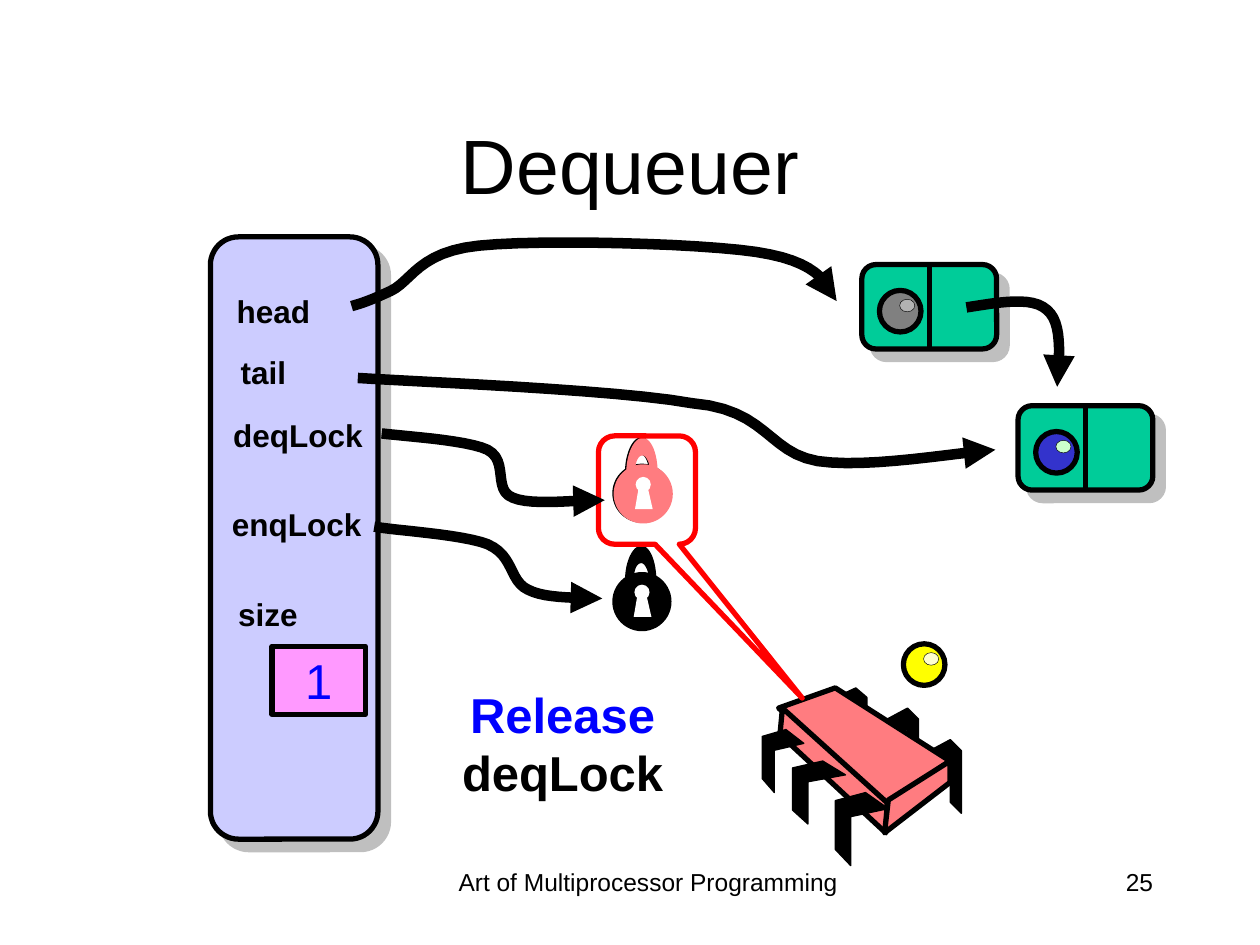
"""Build the "Dequeuer" slide: a two-lock queue whose dequeuer releases deqLock."""
from dataclasses import dataclass

from lxml import etree
from pptx import Presentation
from pptx import util as u
from pptx.dml.color import RGBColor
from pptx.enum import shapes, text
from pptx.oxml import ns

KIND = shapes.MSO_SHAPE
ALIGN = text.PP_ALIGN
COLUMNS, ROWS = 100, 75
CELL = u.Inches(10) // COLUMNS
CORNER = 0.167
CURVE_STEPS = 12


@dataclass(frozen=True)
class Theme:
    """Colours, type sizes and line widths of the slide."""
    font: str = "Arial"
    black: str = "000000"
    white: str = "FFFFFF"
    blue: str = "0000FF"
    red: str = "FF0000"
    shade: str = "808080"
    panel: str = "CCCCFF"
    counter: str = "FF99FF"
    node: str = "00CC99"
    owner: str = "FF7C80"
    title: int = 44
    callout: int = 28
    label: int = 18
    footer: int = 14
    thin: float = 0.25
    leg: float = 0.75
    outline: int = 3
    arrow: int = 6


THEME = Theme()
ITEMS = {
    "yellow": ("FFFF00", "FFFFCC"),
    "blue": ("3333CC", "CCFFCC"),
    "grey": ("808080", "B2B2B2"),
}
FIELDS = [
    ("head", 17.6, 22.7, 8.2),
    ("tail", 17.9, 27.5, 6),
    ("deqLock", 17.3, 32.5, 12.7),
    ("enqLock", 17.2, 39.6, 12.7),
    ("size", 17.7, 46.7, 7.1),
]
ARROWS = [
    [(30.3, 34.4), (31.7, 34.6), (37, 34.9), (38.7, 35.7), (40.4, 36.6),
     (39.1, 38.9), (40.7, 39.5), (42.2, 40.2), (46.5, 39.6), (48, 39.7)],
    [(29.7, 41.8), (31.2, 42.1), (36.7, 42.4), (38.7, 43.2), (40.8, 44.1),
     (40.4, 46.1), (41.9, 46.8), (43.4, 47.6), (46.5, 47.4), (47.8, 47.5)],
    [(76.7, 24.4), (79.3, 24), (81.9, 23.5), (83.1, 24.6), (84.3, 25.6),
     (84.1, 28.1), (83.9, 30.7)],
    [(28.4, 30), (32.8, 30.3), (48.8, 30.9), (54.9, 32), (60.9, 32.5),
     (60.9, 35.9), (64.9, 36.6), (68.9, 37.2), (76.1, 35.9), (79, 35.7)],
    [(27.9, 24.3), (28.6, 24.1), (29.3, 23.9), (31, 23.1), (32.7, 22.3),
     (33.2, 20), (38, 19.5), (42.9, 19), (55.3, 19.3), (60, 20),
     (64.7, 20.7), (65.6, 22.3), (66.4, 23.9)],
]
SHACKLE_OUTER = [(2.5, 2.8), (2.5, 1.3), (2, 0), (1.3, 0), (0.6, 0), (0, 1.3), (0, 2.8)]
SHACKLE_INNER = [(0.7, 2.8), (0.7, 2), (0.9, 1.4), (1.3, 1.4), (1.6, 1.4), (1.9, 2), (1.9, 2.8)]
KEYHOLE = [(0, 1.75), (0.3, 0), (1, 0), (1.4, 1.75)]
BACK_LEG = [(0, 0.15), (0.65, 0), (1, 0.15), (1, 1), (0.65, 0.85), (0.65, 0.28), (0, 0.43)]
FRONT_LEG = [(0.57, 0), (1, 0.22), (0.29, 0.33), (0.29, 1), (0, 0.78), (0, 0.11)]
BACK_LEGS = [(73.8, 58.7, 2.5, 5.85), (70.4, 56.2, 2.5, 5.85), (66.3, 54.6, 2.5, 5)]
FRONT_LEGS = [(66.3, 62.9, 4.2, 5.8), (62.9, 60.4, 4.2, 5), (60.5, 57.9, 3.3, 5)]
CHIP_FACES = [
    [(66.3, 54.6), (75.4, 60.4), (70.3, 63.9), (61.8, 56.2)],
    [(62.1, 56.2), (70.4, 63.7), (70.3, 66.1), (61.9, 58.3)],
    [(75.4, 60.4), (75.4, 62.1), (70.2, 66.1), (70.5, 63.5)],
]


def cells(*numbers):
    """Turn grid counts into lengths."""
    return [u.Emu(round(number * CELL)) for number in numbers]


def placed(points, left, top, width=1, height=1):
    """Scale points and move them to a place on the grid."""
    return [(left + x * width, top + y * height) for x, y in points]


def curve(knots):
    """Sample a chain of cubic Bezier curves."""
    points = [knots[0]]
    for start in range(0, len(knots) - 1, 3):
        bend = knots[start:start + 4]
        for step in range(1, CURVE_STEPS + 1):
            t = step / CURVE_STEPS
            weights = ((1 - t) ** 3, 3 * t * (1 - t) ** 2, 3 * t * t * (1 - t), t ** 3)
            points.append(tuple(sum(w * knot[axis] for w, knot in zip(weights, bend))
                                for axis in (0, 1)))
    return points


def paint(shape, fill=None, line=None, width=THEME.outline):
    """Set fill and line, and remove the shadow."""
    shape.shadow.inherit = False
    if fill:
        shape.fill.solid()
        shape.fill.fore_color.rgb = RGBColor.from_string(fill)
    else:
        shape.fill.background()
    if line:
        shape.line.color.rgb = RGBColor.from_string(line)
        shape.line.width = u.Pt(width)
    else:
        shape.line.fill.background()
    return shape


def add_preset(parent, kind, place, fill=None, line=None, width=THEME.outline):
    """Add a painted preset shape."""
    return paint(parent.add_shape(kind, *cells(*place)), fill, line, width)


def add_outline(parent, points, fill=None, line=None, width=THEME.outline, close=True):
    """Add a painted freeform through the points."""
    start, *others = [cells(*point) for point in points]
    builder = parent.build_freeform(*start)
    builder.add_line_segments(others, close=close)
    return paint(builder.convert_to_shape(), fill, line, width)


def add_shadowed_panel(parent, place, fill):
    """Add a rounded panel with a hard grey shadow."""
    panel = add_preset(parent, KIND.ROUNDED_RECTANGLE, place, fill, THEME.black)
    panel.adjustments[0] = CORNER
    effects = panel._element.spPr.find(ns.qn("a:effectLst"))
    shadow = etree.SubElement(effects, ns.qn("a:outerShdw"), dist=str(u.Pt(8.5)),
                              dir="2700000", algn="ctr", rotWithShape="0")
    color = etree.SubElement(shadow, ns.qn("a:srgbClr"), val=THEME.shade)
    etree.SubElement(color, ns.qn("a:alpha"), val="50000")


def write(shape, spans, size, align=ALIGN.CENTER, bold=False, wrap=True,
          anchor=text.MSO_ANCHOR.TOP):
    """Write one paragraph of (words, colour) spans into a shape."""
    frame = shape.text_frame
    frame.word_wrap = wrap
    frame.vertical_anchor = anchor
    para = frame.paragraphs[0]
    para.alignment = align
    for words, color in spans:
        span = para.add_run()
        span.text = words
        span.font.name, span.font.size, span.font.bold = THEME.font, u.Pt(size), bold
        span.font.color.rgb = RGBColor.from_string(color)


def add_text(parent, place, spans, size, **style):
    """Add a text box."""
    write(parent.add_textbox(*cells(*place)), spans, size, **style)


def add_arrow(parent, knots):
    """Add a thick curved arrow."""
    arrow = add_outline(parent, curve(knots), None, THEME.black, THEME.arrow, close=False)
    line = arrow._element.spPr.find(ns.qn("a:ln"))
    etree.SubElement(line, ns.qn("a:tailEnd"), type="triangle")


def add_item(parent, left, top, name):
    """Add a shiny ball."""
    body, shine = ITEMS[name]
    group = parent.add_group_shape().shapes
    add_preset(group, KIND.OVAL, (left, top, 3.3, 3.3), body, THEME.black)
    add_preset(group, KIND.OVAL, (left + 1.6, top + 0.7, 1.2, 1), shine, THEME.black, THEME.thin)


def add_node(parent, left, top, item):
    """Add a two-part list node holding an item."""
    group = parent.add_group_shape().shapes
    add_shadowed_panel(group, (left, top, 10.7, 6.7), THEME.node)
    middle = left + 5.35
    divider = group.add_connector(shapes.MSO_CONNECTOR.STRAIGHT,
                                  *cells(middle, top, middle, top + 6.7))
    divider.line.color.rgb = RGBColor.from_string(THEME.black)
    divider.line.width = u.Pt(THEME.outline)
    etree.SubElement(divider._element.spPr, ns.qn("a:effectLst"))
    add_item(parent, left + 1.4, top + 2.05, item)


def add_lock(parent, left, top, color):
    """Add a padlock."""
    group = parent.add_group_shape().shapes
    add_preset(group, KIND.OVAL, (left, top + 2.1, 4.7, 4.7), color)
    add_preset(group, KIND.OVAL, (left + 1.75, top + 3.1, 1.2, 1.2), THEME.white)
    add_outline(group, placed(KEYHOLE, left + 1.7, top + 3.9), THEME.white)
    shackle = curve(SHACKLE_INNER) + curve(SHACKLE_OUTER)
    add_outline(group, placed(shackle, left + 1, top), color)


def add_chip(parent):
    """Add the processor chip with its legs."""
    group = parent.add_group_shape().shapes
    for place in BACK_LEGS:
        add_outline(group, placed(BACK_LEG, *place), THEME.black, THEME.black, THEME.leg)
    for face in CHIP_FACES:
        add_outline(group, face, THEME.owner, THEME.black)
    for place in FRONT_LEGS:
        add_outline(group, placed(FRONT_LEG, *place), THEME.black, THEME.black, THEME.leg)


def add_queue(parent):
    """Add the queue object with its fields and size counter."""
    add_shadowed_panel(parent, (16.7, 18.8, 13.3, 47.8), THEME.panel)
    for name, left, top, width in FIELDS:
        add_text(parent, (left, top, width, 4), [(name, THEME.black)], THEME.label,
                 bold=True, wrap=False)
    counter = add_preset(parent, KIND.RECTANGLE, (21.6, 51.3, 7.4, 5.4),
                         THEME.counter, THEME.black)
    write(counter, [("1", THEME.blue)], THEME.callout, wrap=False,
          anchor=text.MSO_ANCHOR.MIDDLE)


def main():
    """Build and save the deck."""
    deck = Presentation()
    deck.slide_width, deck.slide_height = cells(COLUMNS, ROWS)
    page = deck.slides.add_slide(deck.slide_layouts[6]).shapes
    add_text(page, (34.2, 68.3, 34.5, 5),
             [("Art of Multiprocessor Programming", THEME.black)], THEME.footer)
    add_text(page, (71.7, 68.3, 20.8, 5), [("25", THEME.black)], THEME.footer,
             align=ALIGN.RIGHT)
    add_text(page, (7.5, 6.7, 85, 12.5), [("Dequeuer", THEME.black)], THEME.title,
             anchor=text.MSO_ANCHOR.MIDDLE)
    add_queue(page)
    add_lock(page, 48.6, 34.7, THEME.black)
    add_lock(page, 48.7, 34.75, THEME.owner)
    add_lock(page, 48.6, 43.3, THEME.black)
    add_item(page, 71.7, 51.1, "yellow")
    add_chip(page)
    add_text(page, (32.2, 53.8, 24.9, 10.4),
             [("Release ", THEME.blue), ("deqLock", THEME.black)], THEME.callout, bold=True)
    callout = add_preset(page, KIND.ROUNDED_RECTANGULAR_CALLOUT, (47.5, 34.6, 7.7, 8.6),
                         None, THEME.red)
    for index, value in enumerate((1.6, 1.92, CORNER)):
        callout.adjustments[index] = value
    add_node(page, 68.4, 21, "grey")
    add_node(page, 80.8, 32.2, "blue")
    for knots in ARROWS:
        add_arrow(page, knots)
    deck.save("out.pptx")


if __name__ == "__main__":
    main()
